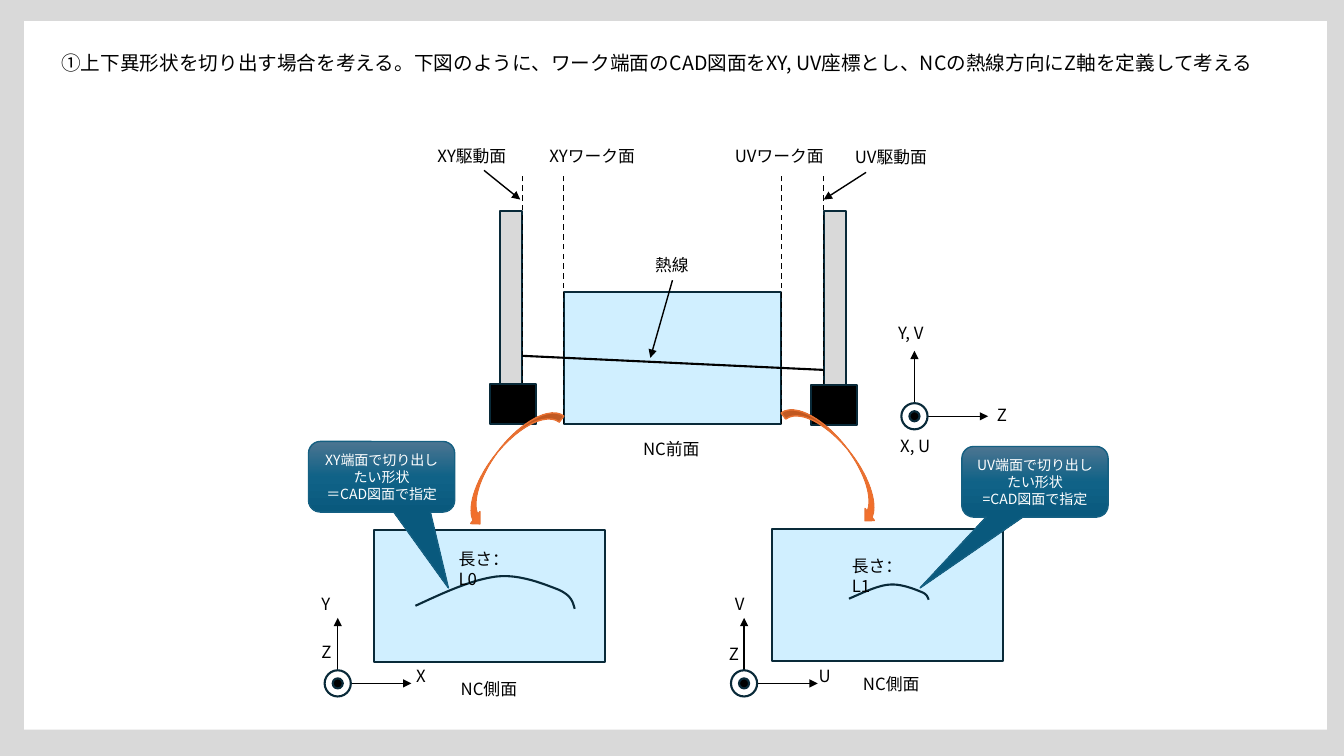
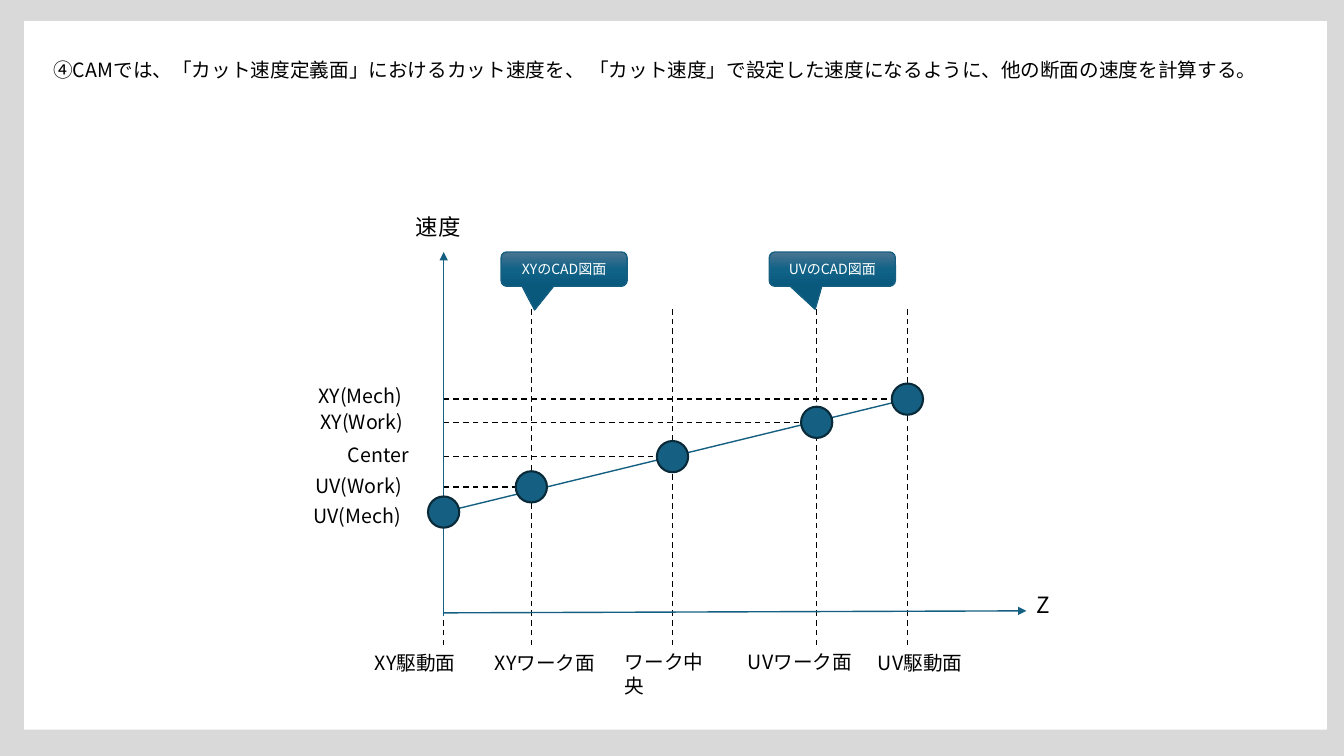
from copy import deepcopy
from dataclasses import dataclass

from lxml import etree
from pptx import Presentation
from pptx import util as u
from pptx.dml.color import RGBColor
from pptx.enum import dml, shapes, text
from pptx.oxml.ns import qn

In = u.Inches
Kind = shapes.MSO_SHAPE


@dataclass(frozen=True)
class Theme:
    """Colours, font and sizes shared by the slides."""
    font: str = "Noto Sans CJK JP"
    back: str = "D9D9D9"
    white: str = "FFFFFF"
    black: str = "000000"
    edge: str = "092A39"
    teal: str = "156082"
    work: str = "66CCFF"
    rust: str = "E97132"
    sea: tuple = ("4C7591", "106287", "09597D")
    fire: tuple = ("ED8257", "F26E29", "E25F1A")
    note: int = 10
    label: int = 12
    body: int = 14
    axis: int = 16
    thin: float = 1
    bold: float = 1.5


T = Theme()


def rgb(tone):
    """Return a colour object for a hex string."""
    return RGBColor.from_string(tone)


def style(para, size, tone, align=None):
    """Set the font and alignment of one paragraph."""
    para.alignment = align
    font = para.font
    font.size, font.name = u.Pt(size), T.font
    font.color.rgb = rgb(tone)
    etree.SubElement(font._element, qn("a:ea")).set("typeface", T.font)


def pen(line, tone, width):
    """Set the colour and width of an outline."""
    line.color.rgb = rgb(tone)
    line.width = u.Pt(width)


def shape(slide, kind, box, fill, edge=None, width=T.bold, alpha=None):
    """Add a preset shape with a plain fill or a three-stop gradient."""
    item = slide.shapes.add_shape(kind, *map(In, box))
    item.shadow.inherit = False
    if isinstance(fill, tuple):
        item.fill.gradient()
        stops = item._element.find(".//" + qn("a:gsLst"))
        stops.append(deepcopy(stops[0]))
        for i, stop in enumerate(item.fill.gradient_stops):
            stop.color.rgb, stop.position = rgb(fill[i]), i / 2
        item.fill.gradient_angle = 270
    else:
        item.fill.solid()
        item.fill.fore_color.rgb = rgb(fill)
    if alpha:
        tone = item._element.spPr.find(".//" + qn("a:srgbClr"))
        etree.SubElement(tone, qn("a:alpha")).set("val", str(alpha * 1000))
    if edge:
        pen(item.line, edge, width)
    else:
        item.line.fill.background()
    return item


def label(slide, words, x, y, w, size=T.label, wrap=False, align=None):
    """Add one line of text, or a wrapped one."""
    box = slide.shapes.add_textbox(In(x), In(y), In(w), In(size / 40))
    frame = box.text_frame
    frame.word_wrap = wrap
    frame.auto_size = text.MSO_AUTO_SIZE.SHAPE_TO_FIT_TEXT
    frame.text = words
    style(frame.paragraphs[0], size, T.black, align)


def line(slide, start, end, tone=T.black, width=T.thin, dash=False, arrow=False):
    """Add a straight line, dashed or with an arrowhead if asked."""
    item = slide.shapes.add_connector(
        shapes.MSO_CONNECTOR.STRAIGHT, *map(In, (*start, *end)))
    pen(item.line, tone, width)
    if dash:
        item.line.dash_style = dml.MSO_LINE.DASH
    if arrow:
        tail = etree.SubElement(item.line._get_or_add_ln(), qn("a:tailEnd"))
        tail.set("type", "triangle")
    etree.SubElement(item._element.spPr, qn("a:effectLst"))


def curve(slide, start, *arcs):
    """Draw joined cubic arcs as one open outline."""
    spots, here = [], start
    for arc in arcs:
        knots = (here, *arc)
        for i in range(1, 13):
            t = i / 12
            parts = ((1 - t) ** 3, 3 * t * (1 - t) ** 2, 3 * t * t * (1 - t), t ** 3)
            spots.append(tuple(
                In(sum(p * k[n] for p, k in zip(parts, knots))) for n in (0, 1)))
        here = arc[-1]
    path = slide.shapes.build_freeform(In(start[0]), In(start[1]))
    path.add_line_segments(spots, close=False)
    item = path.convert_to_shape()
    item.shadow.inherit = False
    item.fill.background()
    pen(item.line, T.edge, T.bold)


def callout(slide, box, tip, *rows):
    """Add a rounded callout with centred text."""
    item = shape(slide, Kind.ROUNDED_RECTANGULAR_CALLOUT, box, T.sea, T.teal, T.thin)
    for i, value in enumerate((*tip, 0.167)):
        item.adjustments[i] = value
    frame = item.text_frame
    frame.word_wrap = True
    frame.vertical_anchor = text.MSO_ANCHOR.MIDDLE
    frame.text = "\n".join(rows)
    for para in frame.paragraphs:
        style(para, T.note, T.white, text.PP_ALIGN.CENTER)


def disc(slide, x, y, size, fill):
    """Add a circle around a centre."""
    shape(slide, Kind.OVAL, (x - size / 2, y - size / 2, size, size), fill, T.edge)


def axes(slide, x, y):
    """Add two axis arrows and the mark of the third axis."""
    for end in ((x + 0.73, y), (x, y - 0.65)):
        line(slide, (x, y), end, arrow=True)
    disc(slide, x, y, 0.26, T.white)
    disc(slide, x, y, 0.1, T.black)


def bend(slide, box, turn, flip=False):
    """Add a turned curved arrow."""
    item = shape(slide, Kind.CURVED_UP_ARROW, box, T.fire, T.rust, T.thin)
    item.rotation = turn
    if flip:
        item._element.spPr.xfrm.set("flipH", "1")


def page(deck, title, x, y):
    """Start a slide with its backdrop, white panel and heading."""
    slide = deck.slides.add_slide(deck.slide_layouts[6])
    fill = slide.background.fill
    fill.solid()
    fill.fore_color.rgb = rgb(T.back)
    shape(slide, Kind.RECTANGLE, (0.24, 0.21, 12.92, 7.03), T.white)
    label(slide, title, x, y, 12.32, T.body, wrap=True)
    return slide


def setup(deck):
    """Build the slide on the machine and its coordinates."""
    slide = page(deck, "①上下異形状を切り出す場合を考える。下図のように、ワーク端面のCAD図面を"
                 "XY, UV座標とし、NCの熱線方向にZ軸を定義して考える", 0.51, 0.46)
    rect = Kind.RECTANGLE
    for x in (4.96, 8.17):
        shape(slide, rect, (x, 2.09, 0.22, 2.12), T.back, T.edge)
    for box in ((5.59, 2.9, 2.16, 1.31), (3.71, 5.26, 2.29, 1.31),
                (7.66, 5.25, 2.29, 1.31)):
        shape(slide, rect, box, T.work, T.edge, alpha=30)
    line(slide, (5.18, 3.53), (8.17, 3.67), width=T.bold)
    for x in (5.18, 5.59, 7.75, 8.17):
        line(slide, (x, 4.21), (x, 1.73), dash=True)
    for start, end in (((8.59, 1.71), (8.17, 1.98)), ((4.8, 1.69), (5.16, 1.98)),
                       ((6.67, 2.78), (6.45, 3.55))):
        line(slide, start, end, arrow=True)
    curve(slide, (4.12, 6.01), ((4.4, 5.88), (4.68, 5.75), (4.92, 5.72)),
          ((5.15, 5.69), (5.41, 5.8), (5.54, 5.85)),
          ((5.67, 5.91), (5.68, 5.97), (5.7, 6.04)))
    curve(slide, (8.42, 5.94), ((8.56, 5.88), (8.7, 5.81), (8.82, 5.8)),
          ((8.93, 5.79), (9.06, 5.84), (9.13, 5.87)),
          ((9.19, 5.89), (9.2, 5.92), (9.21, 5.95)))
    for x, y in ((9.07, 4.13), (3.35, 6.78), (7.38, 6.78)):
        axes(slide, x, y)
    for words, x, y, w in (
            ("XY駆動面", 4.24, 1.4, 0.96), ("XYワーク面", 5.35, 1.4, 1.09),
            ("UV駆動面", 8.38, 1.41, 0.97), ("熱線", 6.4, 2.48, 0.54),
            ("NC前面", 6.28, 4.3, 0.81), ("NC側面", 4.47, 6.68, 0.81),
            ("NC側面", 8.46, 6.63, 0.81), ("Y, V", 8.81, 3.15, 0.56),
            ("Z", 9.79, 3.97, 0.33), ("X, U", 8.83, 4.27, 0.59),
            ("Y", 3.09, 5.84, 0.32), ("Z", 3.09, 6.32, 0.33),
            ("X", 4.03, 6.56, 0.34), ("V", 7.19, 5.84, 0.33),
            ("Z", 7.13, 6.34, 0.33), ("U", 8.02, 6.56, 0.34)):
        label(slide, words, x, y, w)
    for words, x, y, w in (("UVワーク面", 7.19, 1.4, 1.11),
                           ("長さ：L0", 4.45, 5.39, 0.85),
                           ("長さ：L1", 8.35, 5.46, 0.83)):
        label(slide, words, x, y, w, wrap=True)
    for x, y in ((4.86, 3.81), (8.04, 3.82)):
        shape(slide, rect, (x, y, 0.46, 0.4), T.black, T.edge)
    bend(slide, (4.32, 4.45, 1.43, 0.3), 127.9)
    bend(slide, (7.59, 4.42, 1.43, 0.3), 232.1, flip=True)
    callout(slide, (3.06, 4.38, 1.45, 0.7), (0.457, 1.576),
            "XY端面で切り出したい形状", "＝CAD図面で指定")
    callout(slide, (9.54, 4.43, 1.45, 0.7), (-0.786, 1.505),
            "UV端面で切り出したい形状", "=CAD図面で指定")


def speed(deck):
    """Build the slide that plots speed along the Z axis."""
    slide = page(deck, "④CAMでは、「カット速度定義面」におけるカット速度を、 「カット速度」で"
                 "設定した速度になるように、他の断面の速度を計算する。", 0.43, 0.53)
    left = 4.4
    dots = ((left, 5.08), (5.27, 4.83), (6.67, 4.53), (8.1, 4.19), (9, 3.96))
    for x, y in dots:
        line(slide, (x, 6.4), (x, 6.06 if x == left else 3.04), dash=True)
        if x > left:
            line(slide, (left, y), (x, y), dash=True)
    line(slide, (left, 6.08), (10.18, 6.06), T.teal, arrow=True)
    line(slide, (left, 6.11), (left, 2.5), T.teal, arrow=True)
    line(slide, dots[0], dots[-1], T.teal)
    for x, y in dots:
        disc(slide, x, y, 0.31, T.teal)
    label(slide, "Z", 10.18, 5.82, 0.37, T.axis)
    label(slide, "速度", 3.91, 2.07, 0.87, T.axis, True, text.PP_ALIGN.CENTER)
    for words, x, y, w, wrap in (
            ("XY駆動面", 3.62, 6.41, 1.09, False),
            ("XYワーク面", 4.81, 6.41, 1.24, False),
            ("ワーク中央", 6.1, 6.4, 1.14, True),
            ("UVワーク面", 7.32, 6.4, 1.25, True),
            ("UV駆動面", 8.61, 6.41, 1.1, False),
            ("XY(Mech)", 3.06, 3.76, 1.46, True),
            ("XY(Work)", 3.08, 4.02, 1.42, True),
            ("Center", 3.35, 4.34, 1.08, True),
            ("UV(Work)", 3.03, 4.65, 1.48, True),
            ("UV(Mech)", 3.01, 4.95, 1.57, True)):
        label(slide, words, x, y, w, T.body, wrap)
    for words, x, tip in (("XYのCAD図面", 4.97, (-0.234, 1.19)),
                          ("UVのCAD図面", 7.63, (-0.136, 1.169))):
        callout(slide, (x, 2.5, 1.25, 0.34), tip, words)


def main():
    """Build and save the deck."""
    deck = Presentation()
    deck.slide_width, deck.slide_height = In(13.33), In(7.5)
    setup(deck)
    speed(deck)
    deck.save("out.pptx")


if __name__ == "__main__":
    main()
